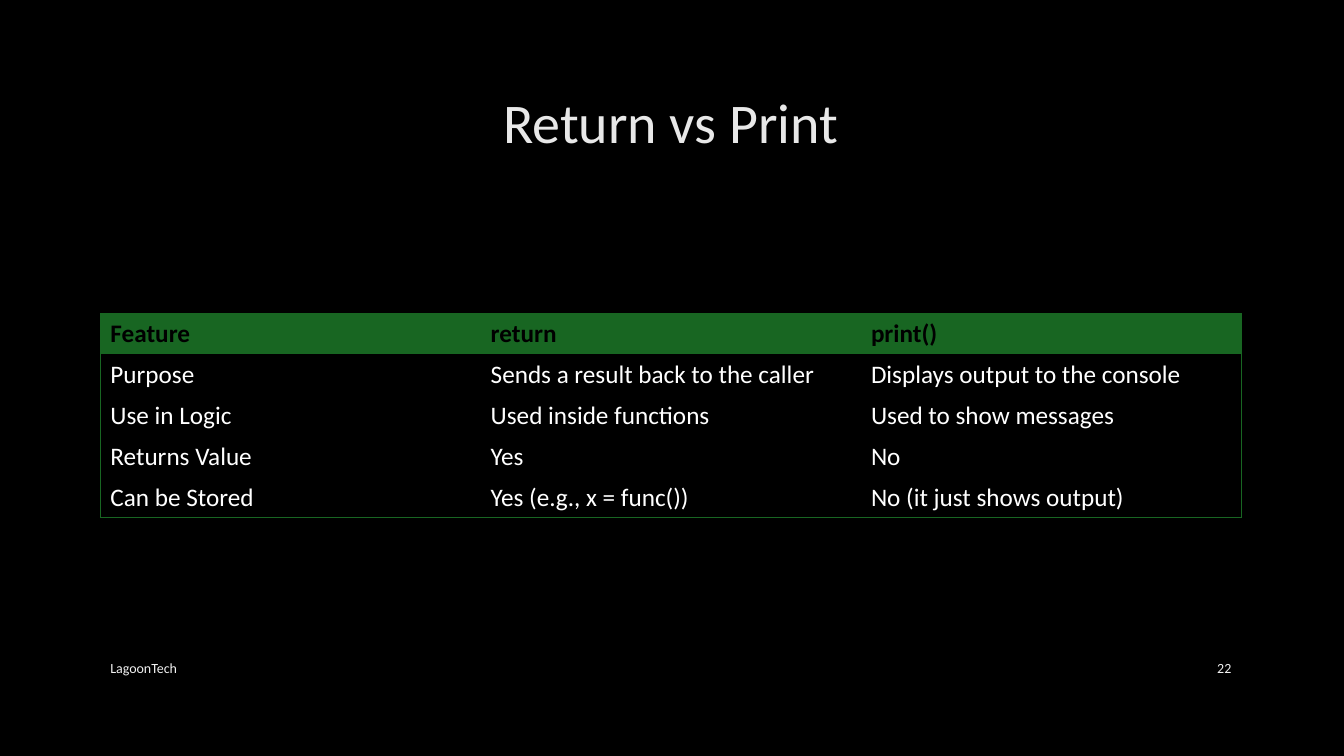
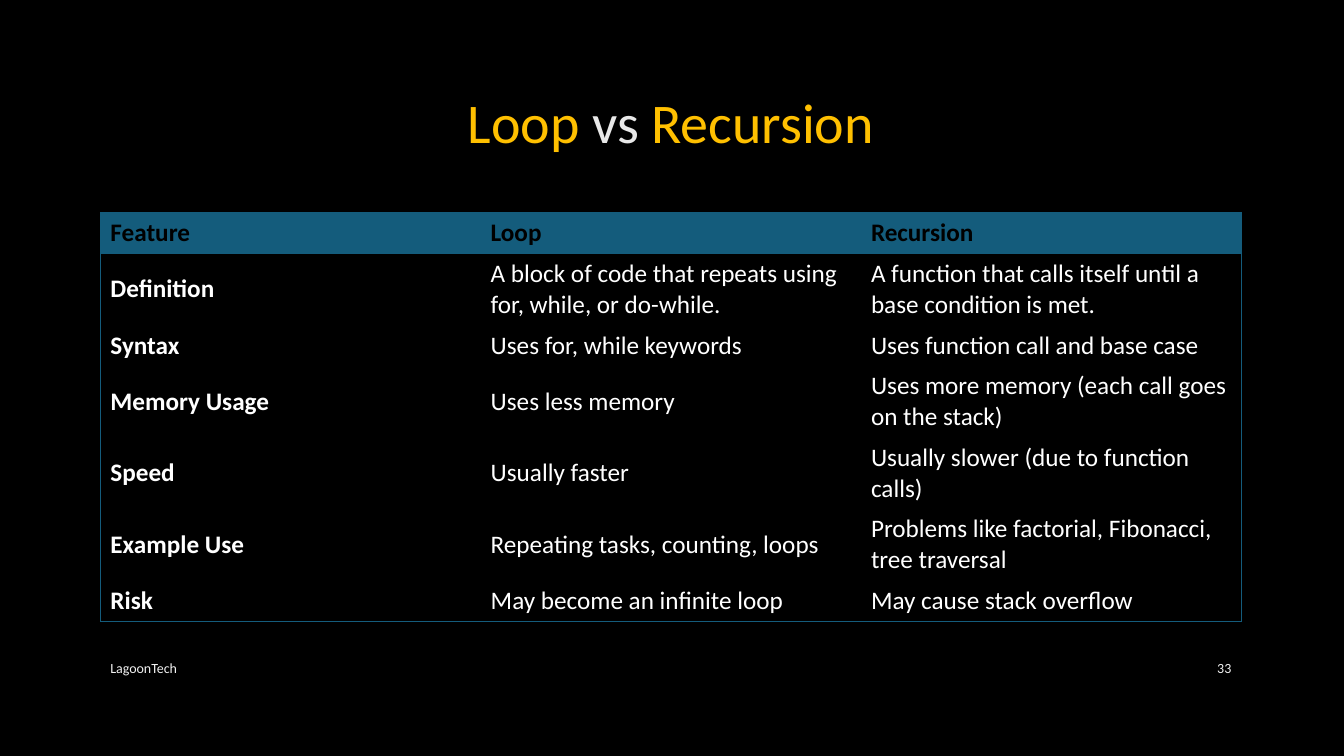
from dataclasses import dataclass

import pptx
import pptx.dml.color
import pptx.enum.text
import pptx.oxml
import pptx.oxml.ns
import pptx.util

Cm = pptx.util.Cm
Pt = pptx.util.Pt
ALIGN = pptx.enum.text.PP_ALIGN
MIDDLE = pptx.enum.text.MSO_ANCHOR.MIDDLE
PLAIN_TABLE_STYLE = "{2D5ABB26-0587-4C30-8999-92F81FD0307C}"


@dataclass(frozen=True)
class Theme:
    font: str = "Calibri"
    background: str = "000000"
    title: str = "E8E8E8"
    highlight: str = "FFC000"
    outline: str = "404040"
    body: str = "FFFFFF"
    footer: str = "F2F2F2"
    green: str = "186622"
    blue: str = "145C7C"
    title_size: int = 40
    body_size: int = 18
    footer_size: int = 10
    border_width: float = 0.75


THEME = Theme()

# Page frame, in centimetres
LEFT, WIDTH = 2.53, 28.75
TITLE_BOX = (LEFT, 1.7, WIDTH, 2.69)
FOOTER_BOX = (LEFT, 16.33, WIDTH, 1.02)
FOOTER_TEXT = "LagoonTech"

# Row heights follow the number of text lines
ROW_PADDING, LINE_HEIGHT = 0.26, 0.77
CHARACTERS_PER_LINE = 34


def rgb(color):
    return pptx.dml.color.RGBColor.from_string(color)


def line_xml(tag, color, width, alpha=100):
    """Return a solid DrawingML line; alpha is its opacity in percent."""
    return pptx.oxml.parse_xml(
        f'<a:{tag} {pptx.oxml.ns.nsdecls("a")} w="{int(Pt(width))}">'
        f'<a:solidFill><a:srgbClr val="{color}"><a:alpha val="{alpha * 1000}"/>'
        f'</a:srgbClr></a:solidFill></a:{tag}>')


def add_text(paragraph, text, *, size, color, bold=False, align=ALIGN.LEFT,
             outline=None):
    paragraph.alignment = align
    run = paragraph.add_run()
    run.text = text
    run.font.name = THEME.font
    run.font.size = Pt(size)
    run.font.bold = bold
    run.font.color.rgb = rgb(color)
    if outline:
        properties = run.font.fill._xPr
        properties.insert(0, line_xml("ln", outline, THEME.border_width, alpha=10))


def add_text_box(slide, box):
    """Add a wrapped, vertically centred box and return its paragraph."""
    shape = slide.shapes.add_textbox(*map(Cm, box))
    shape.text_frame.word_wrap = True
    shape.text_frame.vertical_anchor = MIDDLE
    return shape.text_frame.paragraphs[0]


def add_title(slide, box, parts):
    paragraph = add_text_box(slide, box)
    for text, color in parts:
        add_text(paragraph, text, size=THEME.title_size, color=color,
                 align=ALIGN.CENTER, outline=THEME.outline)


def add_footer(slide, box, number):
    left, top, width, height = box
    number_width = 2.08
    parts = (
        (FOOTER_TEXT, left, 18.54, ALIGN.LEFT),
        (str(number), left + width - number_width, number_width, ALIGN.RIGHT),
    )
    for text, part_left, part_width, align in parts:
        paragraph = add_text_box(slide, (part_left, top, part_width, height))
        add_text(paragraph, text, size=THEME.footer_size, color=THEME.footer,
                 align=align)


def row_height(texts):
    lines = 2 if max(map(len, texts)) > CHARACTERS_PER_LINE else 1
    return ROW_PADDING + lines * LINE_HEIGHT


def add_comparison_table(slide, left, top, width, rows, accent, bold_labels):
    heights = [row_height(texts) for texts in rows]
    column_count = len(rows[0])
    frame = slide.shapes.add_table(len(rows), column_count, Cm(left), Cm(top),
                                   Cm(width), Cm(sum(heights)))
    table = frame.table
    table.horz_banding = False
    style = table._tbl.tblPr.find(pptx.oxml.ns.qn("a:tableStyleId"))
    style.text = PLAIN_TABLE_STYLE

    for column in table.columns:
        column.width = Cm(width / column_count)
    for row_index, texts in enumerate(rows):
        table.rows[row_index].height = Cm(heights[row_index])
        is_header = row_index == 0
        for column_index, text in enumerate(texts):
            cell = table.cell(row_index, column_index)
            cell.vertical_anchor = MIDDLE
            add_text(cell.text_frame.paragraphs[0], text, size=THEME.body_size,
                     color=THEME.background if is_header else THEME.body,
                     bold=is_header or (bold_labels and column_index == 0))

            # Outer border only; lines come before the fill in the cell
            edges = {
                "lnL": column_index == 0,
                "lnR": column_index == column_count - 1,
                "lnT": is_header,
                "lnB": row_index == len(rows) - 1,
            }
            properties = cell._tc.get_or_add_tcPr()
            for tag, on_edge in edges.items():
                if on_edge:
                    properties.append(line_xml(tag, accent, THEME.border_width))
            if is_header:
                cell.fill.solid()
                cell.fill.fore_color.rgb = rgb(accent)
            else:
                cell.fill.background()


def add_comparison_slide(presentation, title, number, table_top, rows, accent,
                         bold_labels=False):
    slide = presentation.slides.add_slide(presentation.slide_layouts[6])
    slide.background.fill.solid()
    slide.background.fill.fore_color.rgb = rgb(THEME.background)
    add_title(slide, TITLE_BOX, title)
    add_comparison_table(slide, LEFT, table_top, WIDTH, rows, accent, bold_labels)
    add_footer(slide, FOOTER_BOX, number)


RETURN_ROWS = (
    ("Feature", "return", "print()"),
    ("Purpose", "Sends a result back to the caller",
     "Displays output to the console"),
    ("Use in Logic", "Used inside functions", "Used to show messages"),
    ("Returns Value", "Yes", "No"),
    ("Can be Stored", "Yes (e.g., x = func())", "No (it just shows output)"),
)

LOOP_ROWS = (
    ("Feature", "Loop", "Recursion"),
    ("Definition", "A block of code that repeats using for, while, or do-while.",
     "A function that calls itself until a base condition is met."),
    ("Syntax", "Uses for, while keywords", "Uses function call and base case"),
    ("Memory Usage", "Uses less memory",
     "Uses more memory (each call goes on the stack)"),
    ("Speed", "Usually faster", "Usually slower (due to function calls)"),
    ("Example Use", "Repeating tasks, counting, loops",
     "Problems like factorial, Fibonacci, tree traversal"),
    ("Risk", "May become an infinite loop", "May cause stack overflow"),
)


def main():
    presentation = pptx.Presentation()
    presentation.slide_width = Cm(33.87)
    presentation.slide_height = Cm(19.05)

    add_comparison_slide(
        presentation, [("Return vs Print", THEME.title)], number=22,
        table_top=7.9, rows=RETURN_ROWS, accent=THEME.green)
    add_comparison_slide(
        presentation,
        [("Loop", THEME.highlight), (" vs ", THEME.title),
         ("Recursion", THEME.highlight)],
        number=33, table_top=5.36, rows=LOOP_ROWS, accent=THEME.blue,
        bold_labels=True)

    presentation.save("out.pptx")


if __name__ == "__main__":
    main()
